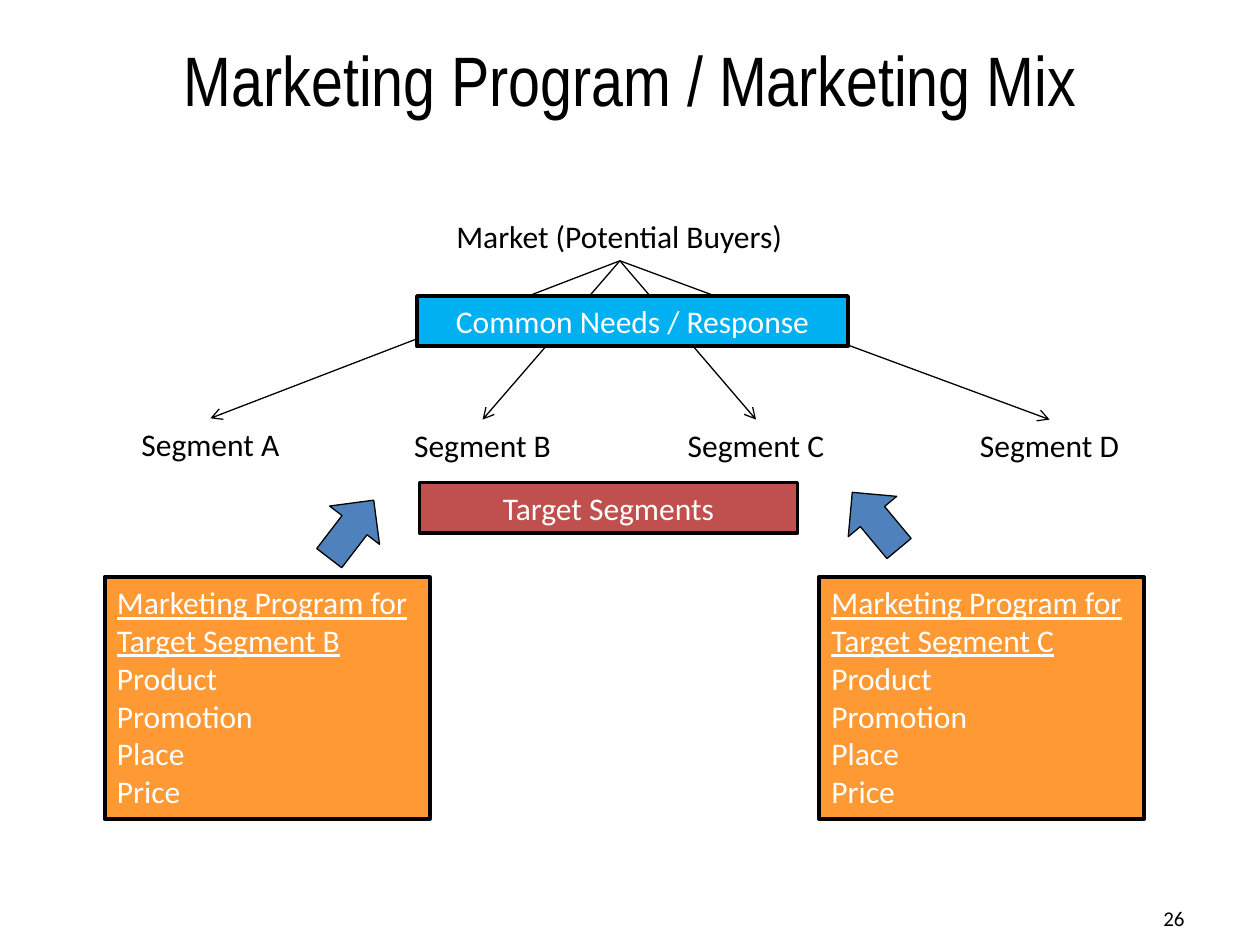
import pptx
import pptx.util
import pptx.dml.color
import pptx.enum.shapes
import pptx.enum.text
import lxml.etree
from pptx.oxml.ns import qn

Inches = pptx.util.Inches
Pt = pptx.util.Pt
Align = pptx.enum.text.PP_ALIGN
Anchor = pptx.enum.text.MSO_ANCHOR
Shape = pptx.enum.shapes.MSO_SHAPE

COLORS = {
    "black": "000000",
    "white": "FFFFFF",
    "need": "00B0F0",
    "target": "C0504D",
    "program": "FF9933",
    "arrow": "4F81BD",
}
MIX = ["Product", "Promotion", "Place", "Price"]
SEGMENTS = [("A", 0.67, 3.32), ("B", 2.83, 3.33), ("C", 5, 3.33), ("D", 7.33, 3.33)]
SEGMENT_WIDTH = 2
APEX = (4.92, 2.07)


def color(name):
    return pptx.dml.color.RGBColor.from_string(COLORS[name])


def write(shape, lines, size=18, font="Calibri", ink="black",
          align=Align.CENTER, anchor=Anchor.TOP):
    frame = shape.text_frame
    frame.text = "\n".join(lines)
    frame.word_wrap = True
    frame.vertical_anchor = anchor
    for para in frame.paragraphs:
        para.alignment = align
        for run in para.runs:
            run.font.size = Pt(size)
            run.font.name = font
            run.font.color.rgb = color(ink)


def add_text(slide, box, text, **style):
    label = slide.shapes.add_textbox(*map(Inches, box))
    write(label, [text], **style)


def add_block(slide, kind, box, fill, width):
    block = slide.shapes.add_shape(kind, *map(Inches, box))
    block.shadow.inherit = False
    block.fill.solid()
    block.fill.fore_color.rgb = color(fill)
    block.line.color.rgb = color("black")
    block.line.width = Pt(width)
    return block


def add_banner(slide, box, text, fill):
    banner = add_block(slide, Shape.RECTANGLE, box, fill, 2.25)
    write(banner, [text], ink="white")


def add_program(slide, left, name):
    """Add the card that lists the marketing mix for one target segment."""
    card = add_block(slide, Shape.RECTANGLE, (left, 4.58, 2.58, 1.92), "program", 2.25)
    heading = f"Marketing Program for Target Segment {name}"
    write(card, [heading] + MIX, ink="white", align=Align.LEFT)
    card.text_frame.paragraphs[0].runs[0].font.underline = True


def add_pointer(slide, left, top, angle):
    pointer = add_block(slide, Shape.RIGHT_ARROW, (left, top, 0.58, 0.5), "arrow", 0.75)
    pointer.rotation = angle


def add_branch(slide, start, end):
    branch = slide.shapes.add_connector(
        pptx.enum.shapes.MSO_CONNECTOR.STRAIGHT, *map(Inches, start + end))
    branch.line.color.rgb = color("black")
    branch.line.width = Pt(0.75)
    line = branch.line._get_or_add_ln()
    lxml.etree.SubElement(line, qn("a:tailEnd"), type="arrow")
    lxml.etree.SubElement(line.getparent(), qn("a:effectLst"))


def main():
    deck = pptx.Presentation()
    deck.slide_width = Inches(10)
    deck.slide_height = Inches(7.5)
    slide = deck.slides.add_slide(deck.slide_layouts[6])

    add_text(slide, (0.5, 0, 9, 1.25), "Marketing Program / Marketing Mix",
             size=40, font="Arial Narrow", anchor=Anchor.MIDDLE)
    add_text(slide, (7.17, 7.09, 2.33, 0.4), "26",
             size=12, align=Align.RIGHT, anchor=Anchor.MIDDLE)
    add_text(slide, (2.58, 1.67, 4.67, 0.4), "Market (Potential Buyers)")

    for name, left, top in SEGMENTS:
        add_text(slide, (left, top, SEGMENT_WIDTH, 0.51), f"Segment {name}")
        add_branch(slide, APEX, (left + SEGMENT_WIDTH / 2, top))

    add_banner(slide, (3.31, 2.35, 3.42, 0.4), "Common Needs / Response", "need")
    add_banner(slide, (3.33, 3.83, 3, 0.4), "Target Segments", "target")

    add_program(slide, 0.83, "B")
    add_program(slide, 6.5, "C")
    add_pointer(slide, 2.5, 3.95, 307.5)
    add_pointer(slide, 6.66, 3.88, 230.2)

    deck.save("out.pptx")


if __name__ == "__main__":
    main()
